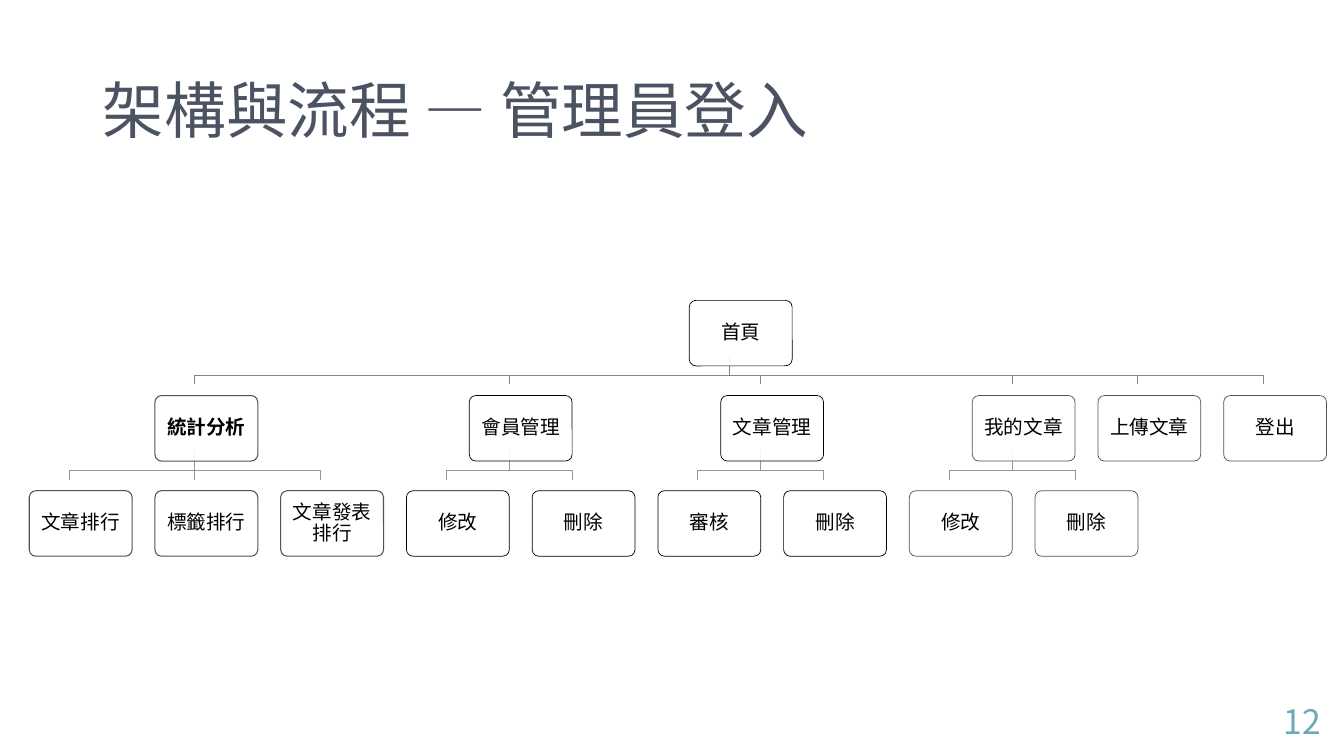
from pptx import Presentation
from pptx.dml.color import RGBColor
from pptx.enum.shapes import MSO_CONNECTOR as Link, MSO_SHAPE as Shape
from pptx.enum.text import MSO_ANCHOR as Anchor, PP_ALIGN as Align
from pptx.oxml.ns import qn
from pptx.util import Inches, Pt
from lxml.etree import SubElement

SLATE = RGBColor(0x4B, 0x52, 0x61)
TEAL = RGBColor(0x6A, 0xA9, 0xB5)
BLACK = RGBColor(0, 0, 0)
WHITE = RGBColor(0xFF, 0xFF, 0xFF)
GRAY = RGBColor(0x84, 0x84, 0x84)
PALE = RGBColor(0x96, 0x96, 0x96)
FONT = "Noto Sans CJK SC"

TITLE = "架構與流程 — 管理員登入"
NUMBER = "12"
ROOT = "首頁"
# name, children, outline colour, outline width, bold
MENU = [
    ("統計分析", ["文章排行", "標籤排行", "文章發表排行"], SLATE, 0.75, True),
    ("會員管理", ["修改", "刪除"], BLACK, 0.5, False),
    ("文章管理", ["審核", "刪除"], BLACK, 0.5, False),
    ("我的文章", ["修改", "刪除"], SLATE, 0.5, False),
    ("上傳文章", [], SLATE, 0.5, False),
    ("登出", [], SLATE, 0.5, False),
]

LEFT, TOP = 0.29, 2.98        # first column, first row
COL, ROW = 1.247, 0.944       # grid pitch
WIDE, HIGH = 1.02, 0.65       # box size
JOINT = 0.395                 # link position from a box's left edge
LIFT = 0.11                   # links end this far above a box edge
DROP = 0.2                    # link start to its bend


def write(shape, text, size, color, align, anchor, pad=None, bold=False, lines=0.9):
    frame = shape.text_frame
    frame.word_wrap = True
    frame.vertical_anchor = anchor
    if pad is not None:
        for side in ("left", "right", "top", "bottom"):
            setattr(frame, f"margin_{side}", Inches(pad))
    para = frame.paragraphs[0]
    para.alignment, para.line_spacing = align, lines
    run = para.add_run()
    run.text = text
    for key, value in {"name": FONT, "size": Pt(size), "bold": bold}.items():
        setattr(run.font, key, value)
    run.font.color.rgb = color
    SubElement(run.font._element, qn("a:ea"), typeface=FONT)


def draw_box(shapes, text, col, row, color, width, bold=False):
    box = shapes.add_shape(
        Shape.ROUNDED_RECTANGLE, Inches(LEFT + col * COL),
        Inches(TOP + row * ROW), Inches(WIDE), Inches(HIGH))
    box.adjustments[0] = 0.1
    box.shadow.inherit = False
    box.fill.solid()
    box.fill.fore_color.rgb = WHITE
    tint = box.fill._xPr.find(qn("a:solidFill"))[0]
    SubElement(tint, qn("a:alpha"), val="90000")
    box.line.color.rgb = color
    box.line.width = Pt(width)
    write(box, text, 14, BLACK, Align.CENTER, Anchor.MIDDLE, 0.08, bold)


def draw_link(shapes, start, end, row, color):
    """Join a box in this row to one in the next, bending between the rows."""
    x1, x2 = (Inches(LEFT + col * COL + JOINT) for col in (start, end))
    top = TOP + row * ROW + HIGH - LIFT
    y1, bend = Inches(top), Inches(top + DROP)
    y2 = Inches(TOP + (row + 1) * ROW - LIFT)
    if x1 == x2:
        link = shapes.add_connector(Link.STRAIGHT, x1, y1, x2, y2)
        SubElement(link._element.spPr, qn("a:effectLst"))
    else:
        path = shapes.build_freeform(x1, y1)
        path.add_line_segments([(x1, bend), (x2, bend), (x2, y2)], close=False)
        link = path.convert_to_shape()
        link.fill.background()
        link.shadow.inherit = False
    link.line.color.rgb = color
    link.line.width = Pt(0.5)


def place_menu():
    """Give each branch its column: the middle of its children, or the next one."""
    spots, leaf, last = [], 0, 0
    for name, kids, *look in MENU:
        last = leaf + (len(kids) - 1) / 2 if kids else last + 1
        spots.append((last, leaf))
        leaf += len(kids)
    return spots


def main():
    deck = Presentation()
    deck.slide_width, deck.slide_height = Inches(13.33), Inches(7.5)
    slide = deck.slides.add_slide(deck.slide_layouts[5])
    shapes = slide.shapes

    title = shapes.title
    title.left, title.top, title.width, title.height = map(
        Inches, (0.92, 0.4, 11.5, 1.45))
    write(title, TITLE, 44, SLATE, Align.LEFT, Anchor.MIDDLE)

    number = shapes.add_textbox(*map(Inches, (10.2, 6.95, 3, 0.4)))
    write(number, NUMBER, 24, TEAL, Align.RIGHT, Anchor.MIDDLE, lines=1.0)

    spots = place_menu()
    home = (spots[0][0] + spots[-1][0]) / 2
    for (col, leaf), (name, kids, *look) in zip(spots, MENU):
        draw_link(shapes, home, col, 0, GRAY)
        for i in range(len(kids)):
            draw_link(shapes, col, leaf + i, 1, PALE)

    draw_box(shapes, ROOT, home, 0, BLACK, 0.5)
    for (col, leaf), (name, kids, color, width, bold) in zip(spots, MENU):
        draw_box(shapes, name, col, 1, color, width, bold)
        for i, kid in enumerate(kids):
            draw_box(shapes, kid, leaf + i, 2, color, width)

    deck.save("out.pptx")


if __name__ == "__main__":
    main()
